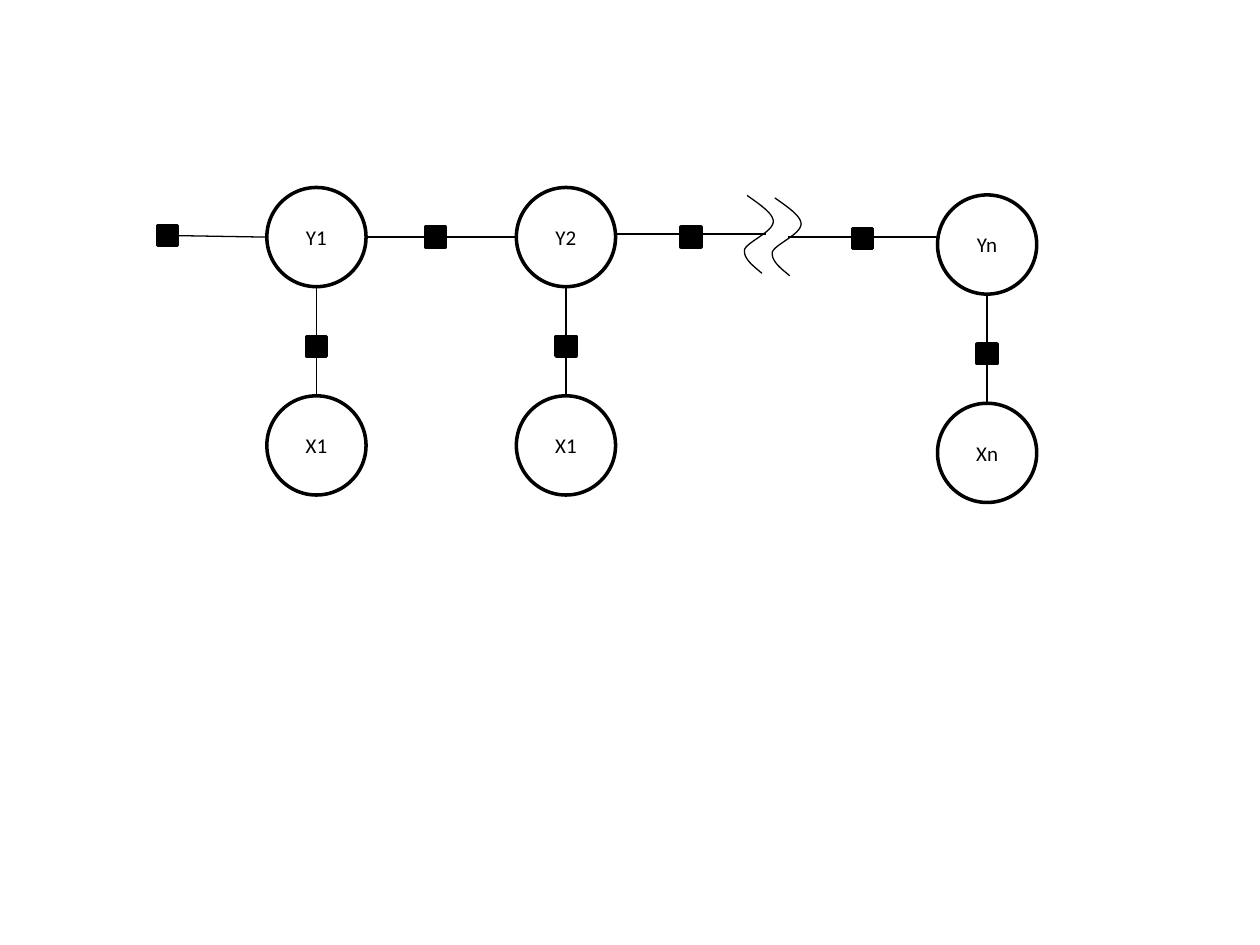
from pptx import Presentation
from pptx.dml.color import RGBColor
from pptx.enum.shapes import MSO_CONNECTOR as Connector, MSO_SHAPE as Preset
from pptx.enum.text import MSO_ANCHOR as Anchor, PP_ALIGN as Align
from pptx.oxml.ns import qn
from pptx.util import Cm, Pt
from lxml.etree import SubElement

COLORS = {"ink": "000000", "paper": "FFFFFF"}
NODE_SIZE = 2.0
FACTOR_SIZE = 0.4
BREAK_CURVES = [
    [(0, 0), (0.25, 0.18), (0.53, 0.36), (0.53, 0.53)],
    [(0.53, 0.53), (0.52, 0.74), (0, 0.94), (-0.05, 1.09)],
    [(-0.05, 1.09), (-0.08, 1.27), (0.12, 1.42), (0.3, 1.57)],
]


def bezier(points, t):
    weights = [(1 - t) ** 3, 3 * t * (1 - t) ** 2, 3 * t ** 2 * (1 - t), t ** 3]
    return tuple(sum(w * p[axis] for w, p in zip(weights, points)) for axis in (0, 1))


class FactorGraph:
    font = "Calibri"
    text_size = Pt(12)
    outline = Pt(2)
    thin = Pt(0.75)

    def __init__(self, page):
        self.page = page

    def color(self, name):
        return RGBColor.from_string(COLORS[name])

    def stroke(self, shape, width):
        shape.line.color.rgb = self.color("ink")
        shape.line.width = width

    def centred(self, preset, x, y, size, fill):
        shape = self.page.shapes.add_shape(
            preset, Cm(x - size / 2), Cm(y - size / 2), Cm(size), Cm(size))
        shape.shadow.inherit = False
        shape.fill.solid()
        shape.fill.fore_color.rgb = self.color(fill)
        self.stroke(shape, self.outline)
        return shape

    def node(self, label, x, y):
        shape = self.centred(Preset.OVAL, x, y, NODE_SIZE, "paper")
        frame = shape.text_frame
        frame.vertical_anchor = Anchor.MIDDLE
        para = frame.paragraphs[0]
        para.text = label
        para.alignment = Align.CENTER
        para.font.name = self.font
        para.font.size = self.text_size
        para.font.color.rgb = self.color("ink")

    def factor(self, x, y):
        self.centred(Preset.RECTANGLE, x, y, FACTOR_SIZE, "ink")

    def link(self, x1, y1, x2, y2):
        line = self.page.shapes.add_connector(
            Connector.STRAIGHT, Cm(x1), Cm(y1), Cm(x2), Cm(y2))
        self.stroke(line, self.thin)
        SubElement(line._element.spPr, qn("a:effectLst"))

    def break_mark(self, x, y):
        builder = self.page.shapes.build_freeform(Cm(x), Cm(y))
        steps = 12
        points = [bezier(curve, i / steps)
                  for curve in BREAK_CURVES for i in range(1, steps + 1)]
        builder.add_line_segments(
            [(Cm(x + dx), Cm(y + dy)) for dx, dy in points], close=False)
        shape = builder.convert_to_shape()
        shape.shadow.inherit = False
        shape.fill.background()
        self.stroke(shape, self.thin)


deck = Presentation()
deck.slide_width, deck.slide_height = Cm(25.4), Cm(19.05)
graph = FactorGraph(deck.slides.add_slide(deck.slide_layouts[6]))

for link in [(3.58, 4.75, 5.38, 4.78), (7.38, 4.78, 10.41, 4.78),
             (12.41, 4.72, 15.44, 4.72), (15.88, 4.78, 18.9, 4.78)]:
    graph.link(*link)

for x, y in [(3.38, 4.75), (8.78, 4.78), (13.93, 4.78), (17.39, 4.81)]:
    graph.factor(x, y)

for x, y in [(15.06, 3.94), (15.62, 3.99)]:
    graph.break_mark(x, y)

for state, observed, x, y in [("Y1", "X1", 6.38, 4.78),
                              ("Y2", "X1", 11.41, 4.78),
                              ("Yn", "Xn", 19.9, 4.93)]:
    observed_y = y + 4.2
    graph.link(x, observed_y - NODE_SIZE / 2, x, y + NODE_SIZE / 2)
    graph.factor(x, y + 2.2)
    graph.node(state, x, y)
    graph.node(observed, x, observed_y)

deck.save("out.pptx")
